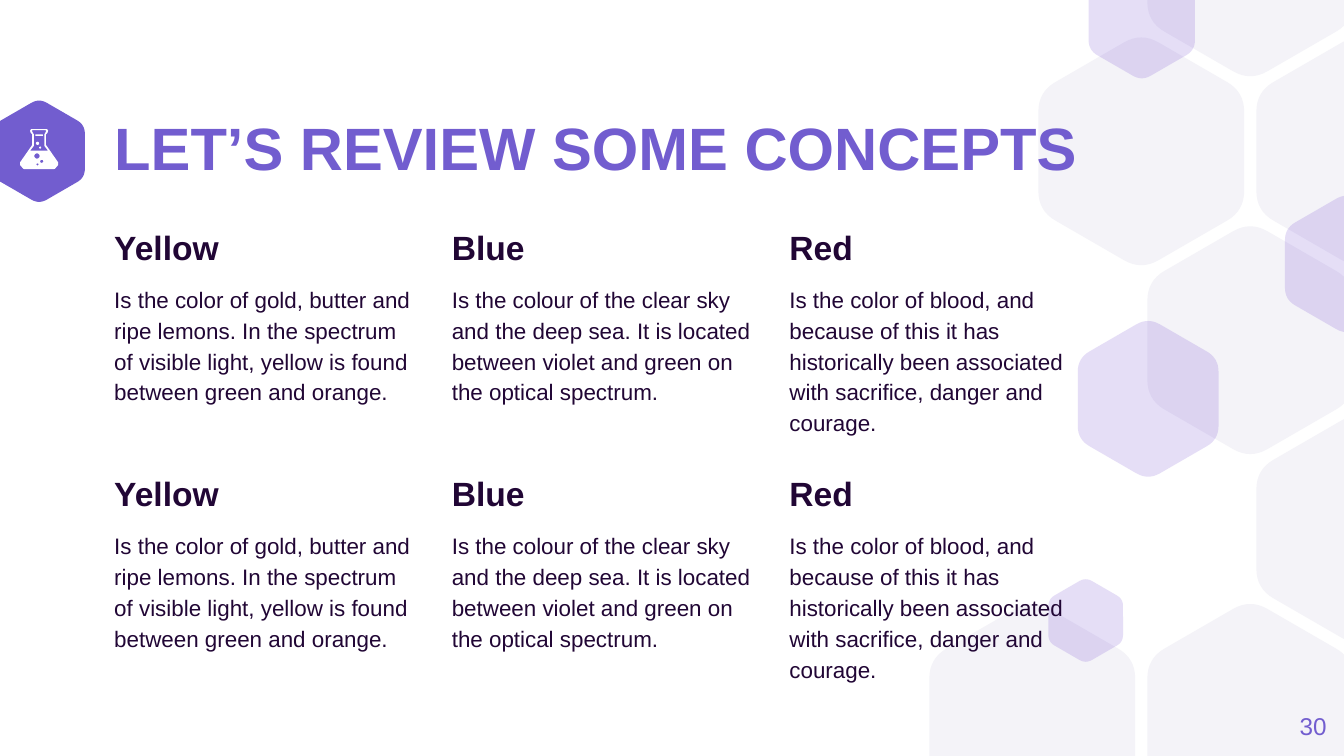
import math

import pptx
import pptx.dml.color
import pptx.enum.shapes
import pptx.enum.text
import pptx.util
from lxml import etree

Cm, Pt = pptx.util.Cm, pptx.util.Pt
PP_ALIGN, ANCHOR = pptx.enum.text.PP_ALIGN, pptx.enum.text.MSO_ANCHOR
SHAPE = pptx.enum.shapes.MSO_SHAPE

WIDTH, HEIGHT = 25.4, 14.29
FONT = "Arial"
COLORS = {
    "accent": "725DCF",
    "ink": "210635",
    "pale": "F4F3F8",
    "violet": "5322C9",
    "white": "FFFFFF",
}

TITLE = "LET’S REVIEW SOME CONCEPTS"
PAGE_NUMBER = "30"
CONCEPTS = [
    ("Yellow", "Is the color of gold, butter and ripe lemons. In the spectrum "
               "of visible light, yellow is found between green and orange."),
    ("Blue", "Is the colour of the clear sky and the deep sea. It is located "
             "between violet and green on the optical spectrum."),
    ("Red", "Is the color of blood, and because of this it has historically "
            "been associated with sacrifice, danger and courage."),
]
CONCEPT_ROWS = 2

# Honeycomb cells as (half column, row); lengths below are in centimetres
HONEYCOMB = [(0, 4), (2, 4), (3, 1), (2, 0), (2, 2), (1, 1), (3, 3)]
COMB_LEFT, COMB_TOP, COMB_DX, COMB_DY, COMB_CELL = 19.51, -0.71, 2.06, 3.57, 3.89
# Centre x, centre y, width
VIOLET_HEXAGONS = [
    (25.45, 4.99, 2.33), (20.52, 11.73, 1.41), (21.58, 0.37, 2.01), (21.7, 7.54, 2.66),
]
BADGE = (0.74, 2.86, 1.73)

# Right halves of the flask outlines, as (offset from the axis, y)
FLASK_AXIS = 0.74
FLASK_OUTER = [(0.15, 2.44), (0.17, 2.47), (0.16, 2.51), (0.13, 2.54), (0.13, 2.74),
               (0.36, 3.07), (0.36, 3.12), (0.3, 3.19), (0.27, 3.2)]
FLASK_INNER = [(0.13, 2.46), (0.13, 2.49), (0.1, 2.54), (0.1, 2.76), (0.17, 2.85)]
# Centre x, centre y, radius
LIQUID_BUBBLES = [(0.7, 2.95, 0.05), (0.79, 3.05, 0.03), (0.71, 3.11, 0.02)]
NECK_BUBBLES = [(0.71, 2.71, 0.03), (0.76, 2.79, 0.02)]
FLASK_BAR = (0.67, 2.54, 0.14, 0.03)


def rgb(name):
    return pptx.dml.color.RGBColor.from_string(COLORS[name])


def paint(s, color, alpha=None):
    s.shadow.inherit = False
    s.fill.solid()
    s.fill.fore_color.rgb = rgb(color)
    s.line.fill.background()
    if alpha:
        ns = "http://schemas.openxmlformats.org/drawingml/2006/main"
        srgb = s.fill._xPr.find(f".//{{{ns}}}srgbClr")
        etree.SubElement(srgb, f"{{{ns}}}alpha", val=str(alpha * 1000))


def add_outline(shapes, contours, color, alpha=None):
    """Draw closed contours as one shape; inner contours become holes."""
    builder = None
    for contour in contours:
        points = [(Cm(x), Cm(y)) for x, y in contour]
        if builder is None:
            builder = shapes.build_freeform(*points[0])
        else:
            builder.move_to(*points[0])
        builder.add_line_segments(points[1:], close=True)
    paint(builder.convert_to_shape(), color, alpha)


def hexagon(cx, cy, width, steps=8, trim=1 / 6):
    """Points of a regular hexagon with rounded corners, cut at the slide's top and bottom."""
    radius = width / math.sqrt(3)
    corners = [(cx + radius * math.sin(k * math.pi / 3), cy - radius * math.cos(k * math.pi / 3))
               for k in range(6)]
    points = []
    for k, corner in enumerate(corners):
        before, after = corners[k - 1], corners[(k + 1) % 6]
        for i in range(steps + 1):
            t = i / steps
            x, y = (c + trim * ((1 - t) ** 2 * (b - c) + t ** 2 * (a - c))
                    for b, c, a in zip(before, corner, after))
            points.append((x, min(max(y, 0), HEIGHT)))
    return points


def circle(cx, cy, radius, steps=16):
    angles = [2 * math.pi * i / steps for i in range(steps)]
    return [(cx + radius * math.cos(a), cy + radius * math.sin(a)) for a in angles]


def mirrored(half):
    return ([(FLASK_AXIS + dx, y) for dx, y in half]
            + [(FLASK_AXIS - dx, y) for dx, y in reversed(half)])


def add_text(shapes, box, paragraphs, anchor=ANCHOR.TOP):
    """paragraphs: (text, size, color, bold, line spacing, space before, alignment)."""
    tf = shapes.add_textbox(*map(Cm, box)).text_frame
    tf.word_wrap = True
    tf.vertical_anchor = anchor
    tf.margin_left = tf.margin_right = tf.margin_top = tf.margin_bottom = 0
    for i, (text, size, color, bold, spacing, before, align) in enumerate(paragraphs):
        p = tf.add_paragraph() if i else tf.paragraphs[0]
        p.text = text
        p.font.name, p.font.size, p.font.bold = FONT, Pt(size), bold
        p.font.color.rgb = rgb(color)
        p.line_spacing, p.space_before, p.alignment = spacing, Pt(before), align


def add_flask(shapes):
    holes = [circle(*bubble) for bubble in LIQUID_BUBBLES]
    add_outline(shapes, [mirrored(FLASK_OUTER), mirrored(FLASK_INNER)] + holes, "white")
    for x, y, r in NECK_BUBBLES:
        paint(shapes.add_shape(SHAPE.OVAL, Cm(x - r), Cm(y - r), Cm(2 * r), Cm(2 * r)), "white")
    paint(shapes.add_shape(SHAPE.ROUNDED_RECTANGLE, *map(Cm, FLASK_BAR)), "white")


def main():
    prs = pptx.Presentation()
    prs.slide_width, prs.slide_height = Cm(WIDTH), Cm(HEIGHT)
    shapes = prs.slides.add_slide(prs.slide_layouts[6]).shapes

    add_outline(shapes, [hexagon(*BADGE)], "accent")
    for col, row in HONEYCOMB:
        cell = hexagon(COMB_LEFT + col * COMB_DX, COMB_TOP + row * COMB_DY, COMB_CELL)
        add_outline(shapes, [cell], "pale")
    for spot in VIOLET_HEXAGONS:
        add_outline(shapes, [hexagon(*spot)], "violet", alpha=15)
    add_flask(shapes)

    left = PP_ALIGN.LEFT
    add_text(shapes, (2.16, 2.31, 18.54, 1.09),
             [(TITLE, 32, "accent", True, 0.9, 0, left)], ANCHOR.MIDDLE)
    for row in range(CONCEPT_ROWS):
        for col, (name, description) in enumerate(CONCEPTS):
            add_text(shapes, (2.16 + col * 6.38, 4.17 + row * 4.66, 5.77, 3.81),
                     [(name, 18, "ink", True, 1.15, 0, left),
                      (description, 12, "ink", False, 1.15, 8, left)])
    add_text(shapes, (23.55, 13.18, 1.52, 1.09),
             [(PAGE_NUMBER, 13, "accent", False, 1.0, 0, PP_ALIGN.RIGHT)], ANCHOR.MIDDLE)

    prs.save("out.pptx")


if __name__ == "__main__":
    main()
